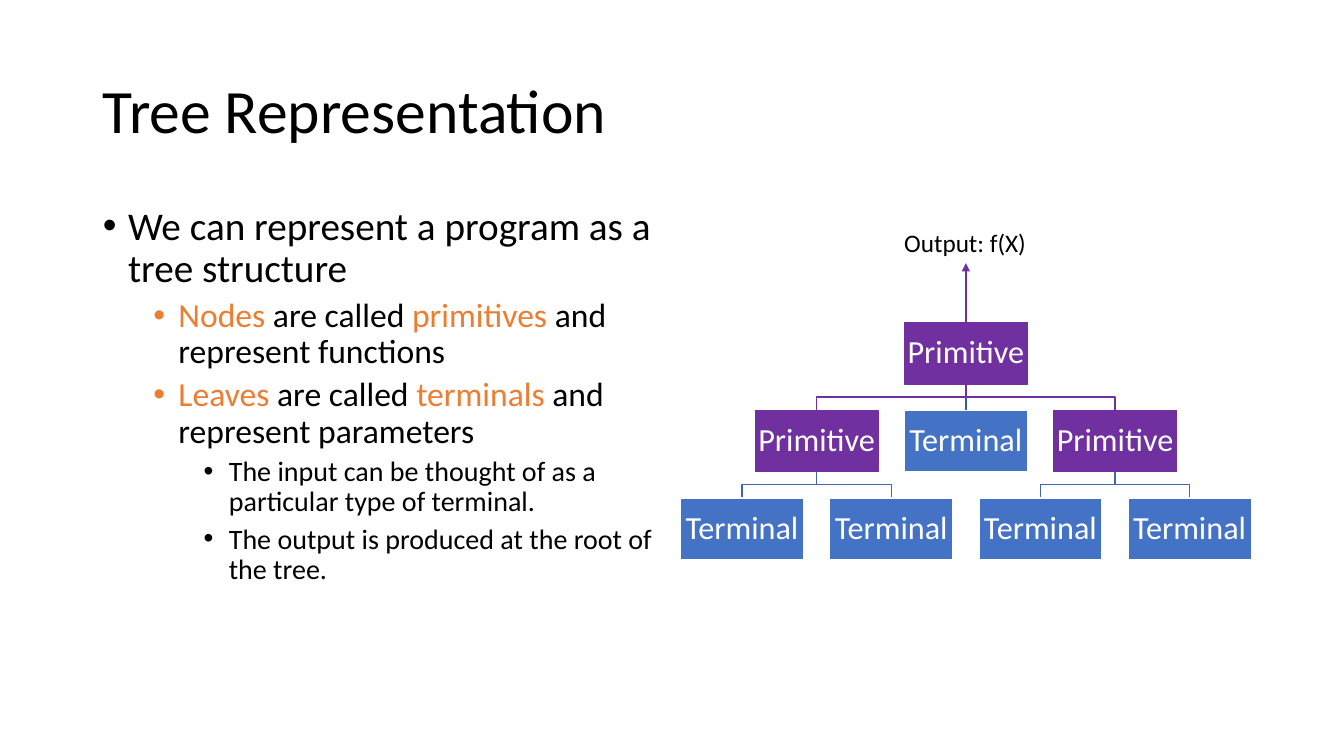
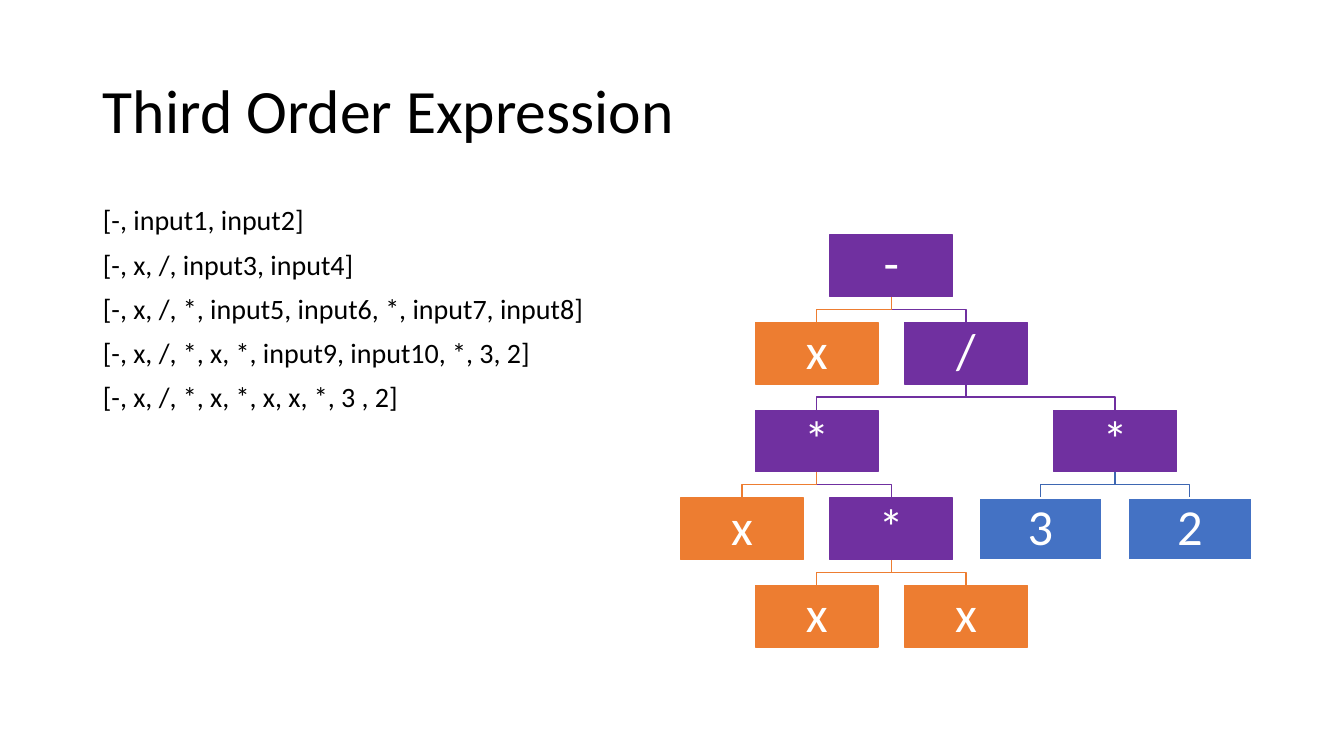
from lxml import etree
from pptx import Presentation
from pptx.dml.color import RGBColor
from pptx.enum import shapes, text
from pptx.oxml import ns
from pptx.util import Pt

PX = 9144
BLACK = RGBColor(0x00, 0x00, 0x00)
WHITE = RGBColor(0xFF, 0xFF, 0xFF)
PURPLE = RGBColor(0x70, 0x30, 0xA0)
ORANGE = RGBColor(0xED, 0x7D, 0x31)
BLUE = RGBColor(0x44, 0x72, 0xC4)
EDGE_BLUE = RGBColor(0x3E, 0x67, 0xB2)
ROOT_BLUE = RGBColor(0x36, 0x5B, 0x9D)

FONT = "Calibri"
TITLE_BOX = dict(left=92, top=40, width=1150, height=145)
BODY_BOX = dict(left=92, top=200, width=567, height=476)
LEVELS = [(28, 10, 25), (24, 5, 75), (20, 5, 125)]
COL_X, COL_STEP = 736, 74
ROW_Y, ROW_STEP = 233, 87
BOX_W, BOX_H = 122, 61
BORDERS = {PURPLE: PURPLE, ORANGE: ORANGE, BLUE: WHITE}
EDGES = {PURPLE: PURPLE, ORANGE: ORANGE, BLUE: EDGE_BLUE}

SLIDES = [
    dict(
        title="Tree Representation",
        bullets=True,
        lines=[
            (0, [("We can represent a program as a tree structure", BLACK)]),
            (1, [("Nodes", ORANGE), (" are called ", BLACK),
                 ("primitives", ORANGE), (" and represent functions", BLACK)]),
            (1, [("Leaves", ORANGE), (" are called ", BLACK),
                 ("terminals", ORANGE), (" and represent parameters", BLACK)]),
            (2, [("The input can be thought of as a particular type of terminal.", BLACK)]),
            (2, [("The output is produced at the root of the tree.", BLACK)]),
        ],
        node_size=23,
        nodes=[
            ("Primitive", 3, 1, PURPLE, None),
            ("Primitive", 1, 2, PURPLE, 0),
            ("Terminal", 3, 2, BLUE, 0),
            ("Primitive", 5, 2, PURPLE, 0),
            ("Terminal", 0, 3, BLUE, 1),
            ("Terminal", 2, 3, BLUE, 1),
            ("Terminal", 4, 3, BLUE, 3),
            ("Terminal", 6, 3, BLUE, 3),
        ],
        output="Output: f(X)",
    ),
    dict(
        title="Third Order Expression",
        bullets=False,
        lines=[(0, [(line, BLACK)]) for line in (
            "[-, input1, input2]",
            "[-, x, /, input3, input4]",
            "[-, x, /, *, input5, input6, *, input7, input8]",
            "[-, x, /, *, x, *, input9, input10, *, 3, 2]",
            "[-, x, /, *, x, *, x, x, *, 3 , 2]",
        )],
        node_size=36,
        nodes=[
            ("-", 2, 0, PURPLE, None),
            ("x", 1, 1, ORANGE, 0),
            ("/", 3, 1, PURPLE, 0),
            ("*", 1, 2, PURPLE, 2),
            ("*", 5, 2, PURPLE, 2),
            ("x", 0, 3, ORANGE, 3),
            ("*", 2, 3, PURPLE, 3),
            ("3", 4, 3, BLUE, 4),
            ("2", 6, 3, BLUE, 4),
            ("x", 1, 4, ORANGE, 6),
            ("x", 3, 4, ORANGE, 6),
        ],
        output=None,
    ),
]


def write(p, runs, size, **para):
    for name, value in para.items():
        setattr(p, name, value)
    for words, colour in runs:
        r = p.add_run()
        r.text = words
        for name, value in dict(name=FONT, size=Pt(size)).items():
            setattr(r.font, name, value)
        r.font.color.rgb = colour


def straight(s, x, y1, y2, colour, width):
    c = s.shapes.add_connector(shapes.MSO_CONNECTOR.STRAIGHT, x * PX, y1 * PX, x * PX, y2 * PX)
    c.line.color.rgb = colour
    c.line.width = Pt(width)
    etree.SubElement(c._element.spPr, ns.qn("a:effectLst"))
    return c


prs = Presentation()
prs.slide_width, prs.slide_height = 1333 * PX, 750 * PX

for data in SLIDES:
    s = prs.slides.add_slide(prs.slide_layouts[1])
    title, body = s.placeholders
    for sp, box in ((title, TITLE_BOX), (body, BODY_BOX)):
        for name, value in box.items():
            setattr(sp, name, value * PX)
        sp.text_frame.auto_size = text.MSO_AUTO_SIZE.NONE
    title.text_frame.vertical_anchor = text.MSO_ANCHOR.MIDDLE
    write(title.text_frame.paragraphs[0], [(data["title"], BLACK)], 44,
          alignment=text.PP_ALIGN.LEFT, line_spacing=0.9)

    tf = body.text_frame
    for i, (level, runs) in enumerate(data["lines"]):
        p = tf.add_paragraph() if i else tf.paragraphs[0]
        size, before, margin = LEVELS[level]
        write(p, runs, size if data["bullets"] else 20, level=level,
              line_spacing=0.9, space_before=Pt(before))
        pPr = p._p.get_or_add_pPr()
        if data["bullets"]:
            pPr.set("marL", str(margin * PX))
            pPr.set("indent", str(-25 * PX))
            etree.SubElement(pPr, ns.qn("a:buFont"), typeface="Arial")
            etree.SubElement(pPr, ns.qn("a:buChar"), char="•")
        else:
            pPr.set("marL", "0")
            pPr.set("indent", "0")
            etree.SubElement(pPr, ns.qn("a:buNone"))

    nodes = data["nodes"]
    for words, col, row, colour, parent in reversed(nodes):
        if parent is None:
            continue
        x1, x2 = (COL_X + c * COL_STEP for c in (nodes[parent][1], col))
        y2 = ROW_Y + row * ROW_STEP
        y1 = y2 - ROW_STEP + BOX_H
        if x1 == x2:
            straight(s, x1, y1, y2, ROOT_BLUE, 1)
            continue
        mid = (y1 + y2) // 2
        fb = s.shapes.build_freeform(x1 * PX, y1 * PX)
        fb.add_line_segments([(x * PX, y * PX) for x, y in ((x1, mid), (x2, mid), (x2, y2))], close=False)
        sp = fb.convert_to_shape()
        sp.shadow.inherit = False
        sp.fill.background()
        sp.line.color.rgb = EDGES[colour]
        sp.line.width = Pt(1)

    for words, col, row, colour, parent in nodes:
        left = COL_X + col * COL_STEP - BOX_W // 2
        top = ROW_Y + row * ROW_STEP
        sp = s.shapes.add_shape(shapes.MSO_SHAPE.RECTANGLE, left * PX, top * PX, BOX_W * PX, BOX_H * PX)
        sp.shadow.inherit = False
        sp.fill.solid()
        sp.fill.fore_color.rgb = colour
        sp.line.color.rgb = BORDERS[colour]
        sp.line.width = Pt(1)
        tf = sp.text_frame
        frame = dict.fromkeys(("margin_left", "margin_top", "margin_right", "margin_bottom"), 2 * PX)
        frame.update(word_wrap=False, vertical_anchor=text.MSO_ANCHOR.MIDDLE)
        for name, value in frame.items():
            setattr(tf, name, value)
        write(tf.paragraphs[0], [(words, WHITE)], data["node_size"],
              alignment=text.PP_ALIGN.CENTER, line_spacing=0.9)

    if data["output"]:
        arrow = straight(s, COL_X + 3 * COL_STEP, 322, 261, PURPLE, 1.5)
        etree.SubElement(arrow.line._get_or_add_ln(), ns.qn("a:tailEnd"), type="triangle")
        tb = s.shapes.add_textbox(887 * PX, 221 * PX, 143 * PX, 40 * PX)
        tb.text_frame.word_wrap = False
        write(tb.text_frame.paragraphs[0], [(data["output"], BLACK)], 18)

prs.save("out.pptx")
